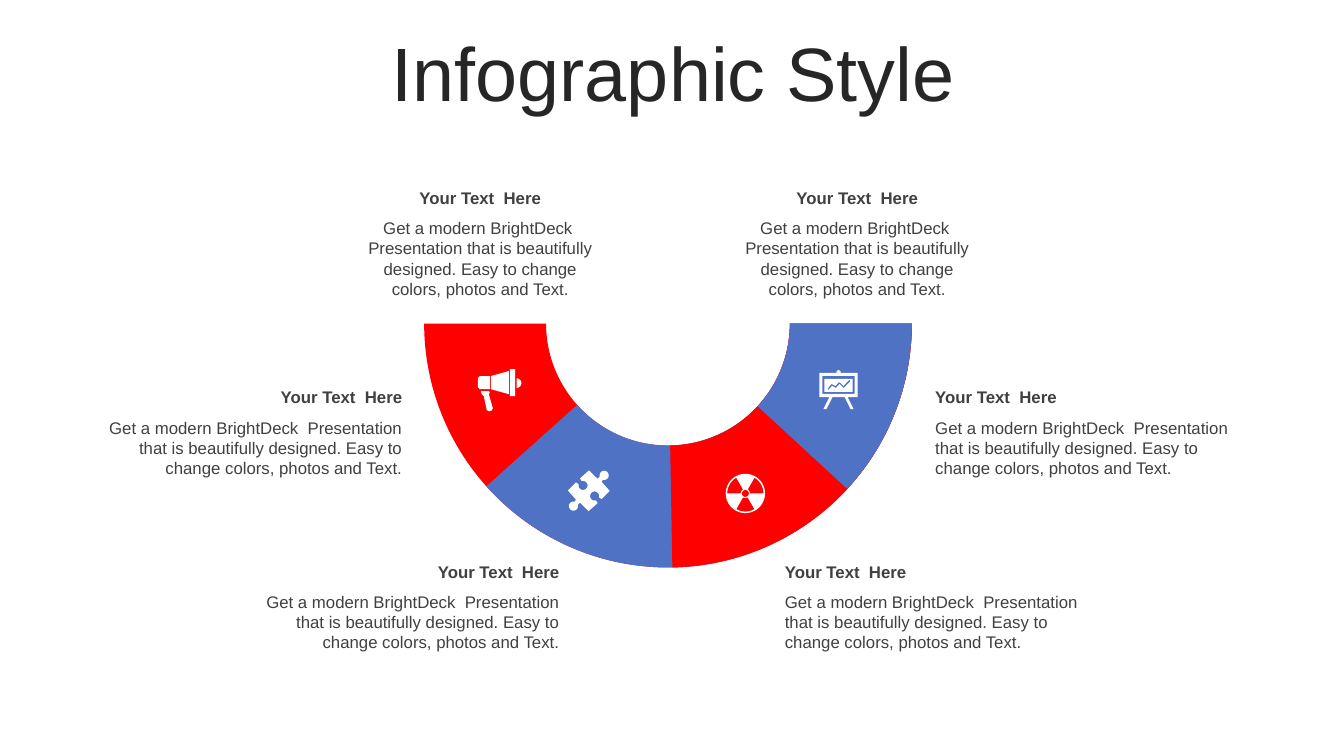
from math import cos, radians, sin

from pptx import Presentation
from pptx import util as u
from pptx.dml.color import RGBColor
from pptx.enum import shapes, text

COLORS = {"red": "FF0000", "blue": "5072C4", "white": "FFFFFF",
          "title": "262626", "body": "404040"}
FONT = "Arial"
HEADING = "Your Text  Here"
DESCRIPTION = ("Get a modern BrightDeck  Presentation that is beautifully designed. "
               "Easy to change colors, photos and Text.")
LEFT, CENTER, RIGHT = text.PP_ALIGN.LEFT, text.PP_ALIGN.CENTER, text.PP_ALIGN.RIGHT

# End angle and colour; each band lies over the one before
BANDS = [(180, "red"), (138.15, "blue"), (88.97, "red"), (42.68, "blue")]
# Left, top, width in cm, alignment
CAPTIONS = [
    (8.97, 4.6, 6.27, CENTER),
    (18.47, 4.6, 6.27, CENTER),
    (2.39, 9.63, 8, RIGHT),
    (19.53, 14.02, 8, LEFT),
    (5.74, 14.02, 8.61, RIGHT),
    (23.32, 9.63, 8, LEFT),
]


def paint(shape, color):
    shape.shadow.inherit = False
    shape.fill.solid()
    shape.fill.fore_color.rgb = RGBColor.from_string(COLORS[color])
    shape.line.fill.background()


def add_text(slide, left, top, width, height, words, size, color, align, bold=False):
    box = slide.shapes.add_textbox(u.Cm(left), u.Cm(top), u.Cm(width), u.Cm(height))
    frame = box.text_frame
    frame.word_wrap = True
    frame.text = words
    para = frame.paragraphs[0]
    para.alignment = align
    font = para.runs[0].font
    font.name, font.size, font.bold = FONT, u.Pt(size), bold
    font.color.rgb = RGBColor.from_string(COLORS[color])
    return frame


def add_title(slide, words):
    frame = add_text(slide, 0.89, 0.94, 32.16, 2.01, words, 54, "title", CENTER)
    frame.vertical_anchor = text.MSO_ANCHOR.MIDDLE
    frame.paragraphs[0].line_spacing = 0.9


def add_caption(slide, left, top, width, align):
    """Add a bold heading with its description below."""
    add_text(slide, left, top, width, 0.77, HEADING, 12, "body", align, bold=True)
    add_text(slide, left, top + 0.77, width, 1.8, DESCRIPTION, 12, "body", align)


def add_band(slide, end_angle, color):
    """Add a half-ring band running clockwise from the right to end_angle."""
    band = slide.shapes.add_shape(shapes.MSO_SHAPE.BLOCK_ARC, u.Cm(10.69), u.Cm(2.01),
                                  u.Cm(12.29), u.Cm(12.29))
    band.adjustments[0] = 0
    band.adjustments[1] = end_angle * 0.6  # 60000 units a degree, over 100000
    band.adjustments[2] = 0.25
    paint(band, color)


def arc(x, y, radius, start, end, steps=24):
    """Return points along a circle; angles run clockwise from the right."""
    angles = [radians(start + (end - start) * i / steps) for i in range(steps + 1)]
    return [(x + radius * cos(a), y + radius * sin(a)) for a in angles]


def rectangle(left, top, right, bottom):
    return [(left, top), (right, top), (right, bottom), (left, bottom)]


def add_icon(slide, left, top, contours):
    """Draw contours given in thousandths of an inch; inner ones become holes."""
    first, *others = contours
    builder = slide.shapes.build_freeform(*first[0], scale=u.Cm(0.00254))
    builder.add_line_segments(first[1:])
    for contour in others:
        builder.move_to(*contour[0])
        builder.add_line_segments(contour[1:])
    paint(builder.convert_to_shape(u.Cm(left), u.Cm(top)), "white")


def board():
    easel = [(0, 30), (170, 30), (170, 15), (190, 0), (210, 15), (210, 30), (380, 30),
             (380, 270), (280, 270), (340, 390), (310, 390), (250, 270), (130, 270),
             (70, 390), (40, 390), (100, 270), (0, 270)]
    trend = [(80, 190), (120, 140), (160, 160), (195, 120), (240, 160), (295, 100),
             (310, 110), (240, 180), (200, 140), (165, 180), (125, 160), (90, 200)]
    return [easel, rectangle(30, 60, 350, 240), rectangle(50, 90, 330, 220), trend]


def puzzle():
    half = [(300, 90), *arc(365, 55, 45, 165, 465), (340, 120), (420, 210), (340, 290),
            *arc(270, 260, 45, 15, -285), (300, 330), (210, 410)]
    return [half + [(425 - x, 415 - y) for x, y in half]]


def radiation():
    wedges = [arc(195, 195, 45, start, start + 60) + arc(195, 195, 180, start + 60, start)
              for start in (60, 180, 300)]
    return [arc(195, 195, 195, 0, 360, 60), arc(195, 195, 35, 0, 360), *wedges]


def megaphone():
    handle = [(30, 220), (110, 220), (120, 230), (110, 250), (150, 390), (140, 410),
              (120, 420), (90, 410), (60, 270), (40, 250)]
    grip = [(20, 70), (120, 70), (120, 200), (20, 200), (0, 180), (0, 90)]
    cone = [(310, 20), (310, 250), (130, 200), (130, 70)]
    return [handle, grip, cone, rectangle(320, 0, 370, 270), arc(385, 140, 48, -90, 90)]


def main():
    deck = Presentation()
    deck.slide_width, deck.slide_height = u.Cm(33.87), u.Cm(19.05)
    slide = deck.slides.add_slide(deck.slide_layouts[6])
    for band in BANDS:
        add_band(slide, *band)
    add_title(slide, "Infographic Style")
    for caption in CAPTIONS:
        add_caption(slide, *caption)
    add_icon(slide, 20.65, 9.32, board())
    add_icon(slide, 14.3, 11.84, puzzle())
    add_icon(slide, 18.29, 11.94, radiation())
    add_icon(slide, 12.04, 9.3, megaphone())
    deck.save("out.pptx")


if __name__ == "__main__":
    main()
